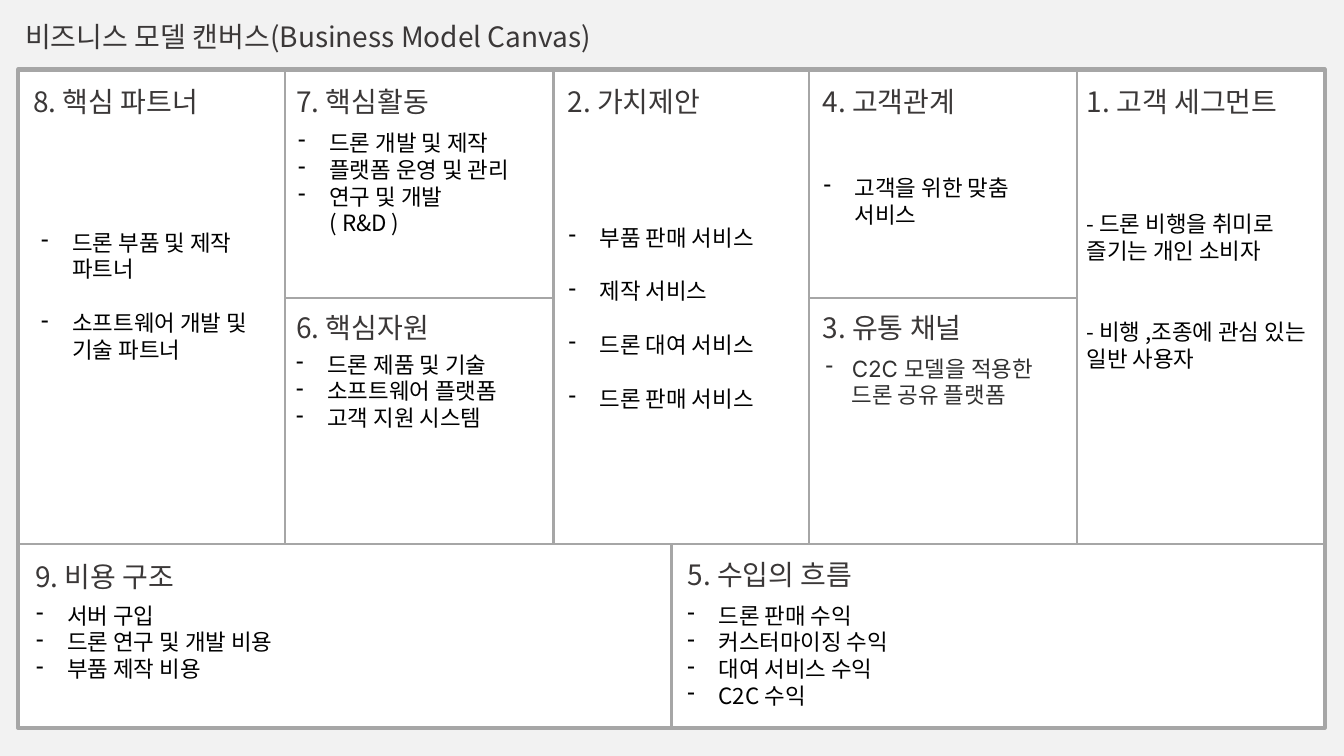
from pptx import Presentation
from pptx.dml.color import RGBColor
from pptx.enum.shapes import MSO_CONNECTOR as Connector, MSO_SHAPE as Shape
from pptx.enum.text import MSO_ANCHOR as Anchor, MSO_AUTO_SIZE as AutoSize, PP_ALIGN as Align
from pptx.oxml.ns import qn
from pptx.util import Inches, Pt
from lxml.etree import SubElement

BACKDROP = RGBColor(0xF2, 0xF2, 0xF2)
WHITE = RGBColor(0xFF, 0xFF, 0xFF)
GRID = RGBColor(0xA6, 0xA6, 0xA6)
HEADING = RGBColor(0x3B, 0x38, 0x38)
BLACK = RGBColor(0, 0, 0)
CHANNEL = RGBColor(0x31, 0x31, 0x31)
KOREAN = "Noto Sans CJK KR"
LATIN = "Inter"
LEFT, TOP, RIGHT, BOTTOM = 0.18, 0.69, 13.14, 7.22
COLUMNS = (2.83, 5.49, 8.02, 10.68)
MIDDLE, FLOOR, CENTRE = 2.96, 5.4, 6.66


class Canvas:
    """Draws the business model canvas on one slide in a single style."""

    def __init__(self, deck):
        self.slide = deck.slides.add_slide(deck.slide_layouts[5])
        self.slide.background.fill.solid()
        self.slide.background.fill.fore_color.rgb = BACKDROP

    def add_text(self, paragraph, text, size, color, font):
        for index, part in enumerate(text.split("\n")):
            if index:
                paragraph.add_line_break()
            run = paragraph.add_run()
            run.text = part
            run.font.size = Pt(size)
            run.font.name = font
            run.font.color.rgb = color
            SubElement(run.font._element, qn("a:ea")).set("typeface", KOREAN)

    def title(self, text, left, top, width, height):
        title = self.slide.shapes.title
        title.left, title.top = Inches(left), Inches(top)
        title.width, title.height = Inches(width), Inches(height)
        frame = title.text_frame
        frame.word_wrap = False
        frame.auto_size = AutoSize.NONE
        frame.vertical_anchor = Anchor.TOP
        frame.paragraphs[0].alignment = Align.LEFT
        self.add_text(frame.paragraphs[0], text, 20, HEADING, KOREAN)

    def board(self):
        board = self.slide.shapes.add_shape(
            Shape.RECTANGLE, Inches(LEFT), Inches(TOP), Inches(RIGHT - LEFT), Inches(BOTTOM - TOP))
        board.shadow.inherit = False
        board.fill.solid()
        board.fill.fore_color.rgb = WHITE
        board.line.color.rgb = GRID
        board.line.width = Pt(3)
        return board

    def divider(self, x1, y1, x2, y2):
        divider = self.slide.shapes.add_connector(
            Connector.STRAIGHT, Inches(x1), Inches(y1), Inches(x2), Inches(y2))
        divider.line.color.rgb = GRID
        divider.line.width = Pt(1.5)
        SubElement(divider._element.spPr, qn("a:effectLst"))
        return divider

    def frame(self, left, top, width, height):
        frame = self.slide.shapes.add_textbox(
            Inches(left), Inches(top), Inches(width), Inches(height)).text_frame
        frame.word_wrap = True
        return frame

    def heading(self, text, left, top):
        frame = self.frame(left, top, 2.48, 0.44)
        self.add_text(frame.paragraphs[0], text, 20, HEADING, KOREAN)

    def points(self, items, left, top, width, height, gap=0, indent=0.31, color=BLACK, font=KOREAN):
        frame = self.frame(left, top, width, height)
        for index, item in enumerate(items):
            paragraph = frame.add_paragraph() if index else frame.paragraphs[0]
            paragraph.space_before = Pt(gap if index else 0)
            if indent:
                properties = paragraph._p.get_or_add_pPr()
                properties.set("marL", str(Inches(indent)))
                properties.set("indent", str(-Inches(indent)))
                SubElement(properties, qn("a:buChar")).set("char", "-")
            self.add_text(paragraph, item, 16, color, font)


def main():
    deck = Presentation()
    deck.slide_width, deck.slide_height = Inches(13.33), Inches(7.5)
    canvas = Canvas(deck)
    canvas.title("비즈니스 모델 캔버스(Business Model Canvas)", 0.15, 0.14, 6.49, 0.44)

    board = canvas.board()
    canvas.divider(LEFT, FLOOR, RIGHT, FLOOR)
    for x in COLUMNS:
        canvas.divider(x, TOP, x, FLOOR)
    for start, end in (COLUMNS[:2], COLUMNS[2:]):
        canvas.divider(start, MIDDLE, end, MIDDLE)
    canvas.divider(CENTRE, FLOOR, CENTRE, BOTTOM).end_connect(board, 2)

    for text, left, top in (
        ("8. 핵심 파트너", 0.23, 0.79),
        ("7. 핵심활동", 2.84, 0.79),
        ("2. 가치제안", 5.53, 0.79),
        ("4. 고객관계", 8.06, 0.79),
        ("1. 고객 세그먼트", 10.68, 0.79),
        ("6. 핵심자원", 2.84, 3.03),
        ("3. 유통 채널", 8.06, 3.03),
        ("9. 비용 구조", 0.25, 5.5),
        ("5. 수입의 흐름", 6.72, 5.48),
    ):
        canvas.heading(text, left, top)

    canvas.points(["드론 부품 및 제작 파트너", "소프트웨어 개발 및 기술 파트너"],
                  0.31, 2.22, 2.48, 1.45, gap=19.2)
    canvas.points(["드론 개발 및 제작", "플랫폼 운영 및 관리", "연구 및 개발\n( R&D )"],
                  2.86, 1.23, 2.54, 1.18)
    canvas.points(["드론 제품 및 기술", "소프트웨어 플랫폼", "고객 지원 시스템"],
                  2.84, 3.43, 2.6, 0.91)
    canvas.points(["부품 판매 서비스", "제작 서비스", "드론 대여 서비스", "드론 판매 서비스"],
                  5.54, 2.17, 2.49, 1.99, gap=19.2)
    canvas.points(["고객을 위한 맞춤 서비스"], 8.07, 1.68, 2.45, 0.64)
    canvas.points(["C2C 모델을 적용한\n드론 공유 플랫폼"], 8.09, 3.47, 2.59, 0.64,
                  indent=0.26, color=CHANNEL, font=LATIN)
    canvas.points(["- 드론 비행을 취미로 즐기는 개인 소비자", "- 비행 ,조종에 관심 있는 일반 사용자"],
                  10.68, 2.04, 2.4, 2.19, gap=38.4, indent=0)
    canvas.points(["서버 구입", "드론 연구 및 개발 비용", "부품 제작 비용"],
                  0.26, 5.92, 6.4, 0.98)
    canvas.points(["드론 판매 수익", "커스터마이징 수익", "대여 서비스 수익", "C2C 수익"],
                  6.72, 5.92, 6.24, 1.18)
    deck.save("out.pptx")


if __name__ == "__main__":
    main()
